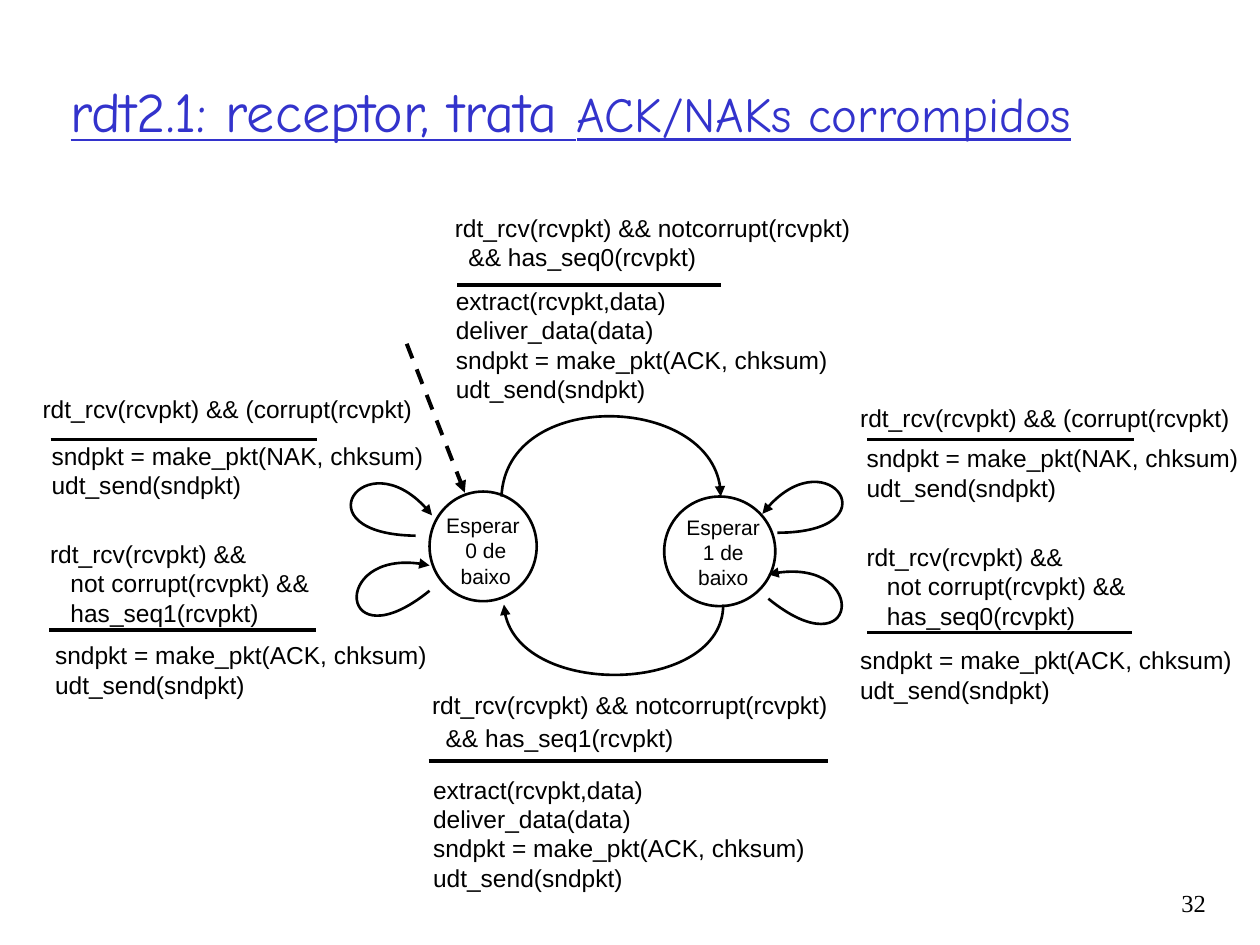
from dataclasses import dataclass

from lxml import etree
from pptx import Presentation
from pptx.dml.color import RGBColor
from pptx.enum import dml, shapes, text
from pptx.oxml import ns
from pptx.util import Cm, Pt


@dataclass(frozen=True)
class Theme:
    ink: RGBColor = RGBColor(0x00, 0x00, 0x00)
    paper: RGBColor = RGBColor(0xFF, 0xFF, 0xFF)
    heading: RGBColor = RGBColor(0x33, 0x33, 0xCC)
    title_font: str = "Comic Neue"
    label_font: str = "Arial"
    number_font: str = "Times New Roman"
    title_size: int = 32
    subtitle_size: int = 28
    label_size: int = 14
    state_size: int = 12
    thin: float = 1.5
    thick: float = 2.25


THEME = Theme()
ALIGN = text.PP_ALIGN

CORRUPT = ["rdt_rcv(rcvpkt) && (corrupt(rcvpkt)"]
SEND_NAK = ["sndpkt = make_pkt(NAK, chksum)", "udt_send(sndpkt)"]
SEND_ACK = ["sndpkt = make_pkt(ACK, chksum)", "udt_send(sndpkt)"]
DELIVER = ["extract(rcvpkt,data)", "deliver_data(data)"] + SEND_ACK


def expected(seq):
    return ["rdt_rcv(rcvpkt) && notcorrupt(rcvpkt)", f"  && has_seq{seq}(rcvpkt)"]


def duplicate(seq):
    return ["rdt_rcv(rcvpkt) &&", "   not corrupt(rcvpkt) &&", f"   has_seq{seq}(rcvpkt)"]


# Guard lines, guard box, rule (left, right, y), action lines, action box, gap in points
TRANSITIONS = [
    (expected(0), (8.92, 4.17, 11.05, 1.6), (9.22, 14.53, 5.74),
     DELIVER, (8.94, 5.64, 9.65, 1.96), 0),
    (expected(1), (8.46, 13.79, 9.96, 1.57), (8.64, 16.69, 15.34),
     DELIVER, (8.48, 15.49, 10.69, 2.77), 2),
    (CORRUPT, (0.61, 7.82, 7.98, 1.7), (1.02, 6.4, 8.86),
     SEND_NAK, (0.79, 8.76, 8.41, 1.14), 0),
    (CORRUPT, (17.09, 8, 7.98, 1.7), (17.48, 22.86, 8.86),
     SEND_NAK, (17.22, 8.81, 8.41, 1.14), 0),
    (duplicate(1), (0.76, 10.74, 7.29, 1.7), (0.99, 6.38, 12.7),
     SEND_ACK, (0.86, 12.78, 8.18, 1.14), 0),
    (duplicate(0), (17.22, 10.8, 7.29, 1.7), (17.48, 22.83, 12.75),
     SEND_ACK, (17.09, 12.88, 8.18, 1.14), 0),
]

# Circle box, label box, label lines
STATES = [
    ((8.66, 9.91, 2.16, 2.21), (8.69, 10.21, 2.21, 1.7), ["Esperar ", "0 de baixo"]),
    ((13.39, 10.01, 2.24, 2.21), (13.46, 10.24, 2.24, 1.7), ["Esperar 1 de baixo"]),
]

# Start, two control points, end
ARCS = [
    [(10.11, 10.01), (10.21, 7.82), (14.53, 7.95), (14.53, 10.01)],
    [(14.58, 12.19), (14.58, 14), (10.26, 14.1), (10.16, 12.19)],
    [(15.67, 10.74), (18.03, 10.74), (16.64, 8.71), (15.37, 10.36)],
    [(15.49, 12.07), (17.32, 13.56), (17.55, 11.13), (15.49, 11.58)],
    [(8.66, 11.91), (6.83, 13.39), (6.63, 10.95), (8.66, 11.4)],
    [(8.38, 10.8), (6.02, 10.77), (7.42, 8.74), (8.71, 10.39)],
]


def cms(values):
    return [Cm(v) for v in values]


def add_run(p, content, **formats):
    r = p.add_run()
    r.text = content
    color = formats.pop("color", THEME.ink)
    for name, value in formats.items():
        setattr(r.font, name, value)
    r.font.color.rgb = color


def add_text(s, box, lines, size=THEME.label_size, font=THEME.label_font,
             align=ALIGN.LEFT, gap=0):
    tf = s.shapes.add_textbox(*cms(box)).text_frame
    tf.word_wrap = True
    for i, line in enumerate(lines):
        p = tf.add_paragraph() if i else tf.paragraphs[0]
        p.alignment = align
        if i and gap:
            p.space_before = Pt(gap)
        add_run(p, line, name=font, size=Pt(size))


def style_line(line, width):
    line.color.rgb = THEME.ink
    line.width = Pt(width)


def add_arrowhead(shape):
    ln = shape.line._get_or_add_ln()
    etree.SubElement(ln, ns.qn("a:tailEnd"), type="triangle")


def add_line(s, start, end):
    line = s.shapes.add_connector(shapes.MSO_CONNECTOR.STRAIGHT, *cms(start + end))
    style_line(line.line, THEME.thick)
    etree.SubElement(line._element.spPr, ns.qn("a:effectLst"))
    return line


def add_arc(s, points):
    """Draw one cubic curve that ends in an arrowhead."""
    start, *rest = [tuple(cms(point)) for point in points]
    builder = s.shapes.build_freeform(*start)
    builder.add_line_segments(rest, close=False)
    arc = builder.convert_to_shape()
    segments = arc._element.findall(".//" + ns.qn("a:lnTo"))
    curve = etree.SubElement(segments[0].getparent(), ns.qn("a:cubicBezTo"))
    for segment in segments:
        curve.append(segment[0])
        segment.getparent().remove(segment)
    arc.shadow.inherit = False
    arc.fill.background()
    style_line(arc.line, THEME.thin)
    add_arrowhead(arc)


def add_state(s, circle_box, label_box, lines):
    circle = s.shapes.add_shape(shapes.MSO_SHAPE.OVAL, *cms(circle_box))
    circle.shadow.inherit = False
    circle.fill.solid()
    circle.fill.fore_color.rgb = THEME.paper
    style_line(circle.line, THEME.thin)
    add_text(s, label_box, lines, THEME.state_size, align=ALIGN.CENTER)


def add_transition(s, guard, guard_box, rule, action, action_box, gap):
    left, right, y = rule
    add_text(s, guard_box, guard, gap=gap)
    add_line(s, (left, y), (right, y))
    add_text(s, action_box, action)


def add_title(s):
    title = s.shapes.title
    title.left, title.top, title.width, title.height = cms((1.17, 0.64, 23.11, 3.18))
    tf = title.text_frame
    tf.auto_size = text.MSO_AUTO_SIZE.NONE
    tf.vertical_anchor = text.MSO_ANCHOR.MIDDLE
    p = tf.paragraphs[0]
    p.alignment = ALIGN.LEFT
    for content, size in [("rdt2.1: receptor, trata ", THEME.title_size),
                          ("ACK/NAKs corrompidos", THEME.subtitle_size)]:
        add_run(p, content, name=THEME.title_font, size=Pt(size),
                underline=True, color=THEME.heading)


def main():
    prs = Presentation()
    prs.slide_width, prs.slide_height = Cm(25.4), Cm(19.05)
    s = prs.slides.add_slide(prs.slide_layouts[5])
    add_title(s)
    for state in STATES:
        add_state(s, *state)
    entry = add_line(s, (8.2, 6.93), (9.37, 9.93))
    entry.line.dash_style = dml.MSO_LINE.DASH
    add_arrowhead(entry)
    for points in ARCS:
        add_arc(s, points)
    for transition in TRANSITIONS:
        add_transition(s, *transition)
    add_text(s, (22.68, 17.78, 1.88, 1.27), ["32"], font=THEME.number_font,
             align=ALIGN.RIGHT)
    prs.save("out.pptx")


if __name__ == "__main__":
    main()
